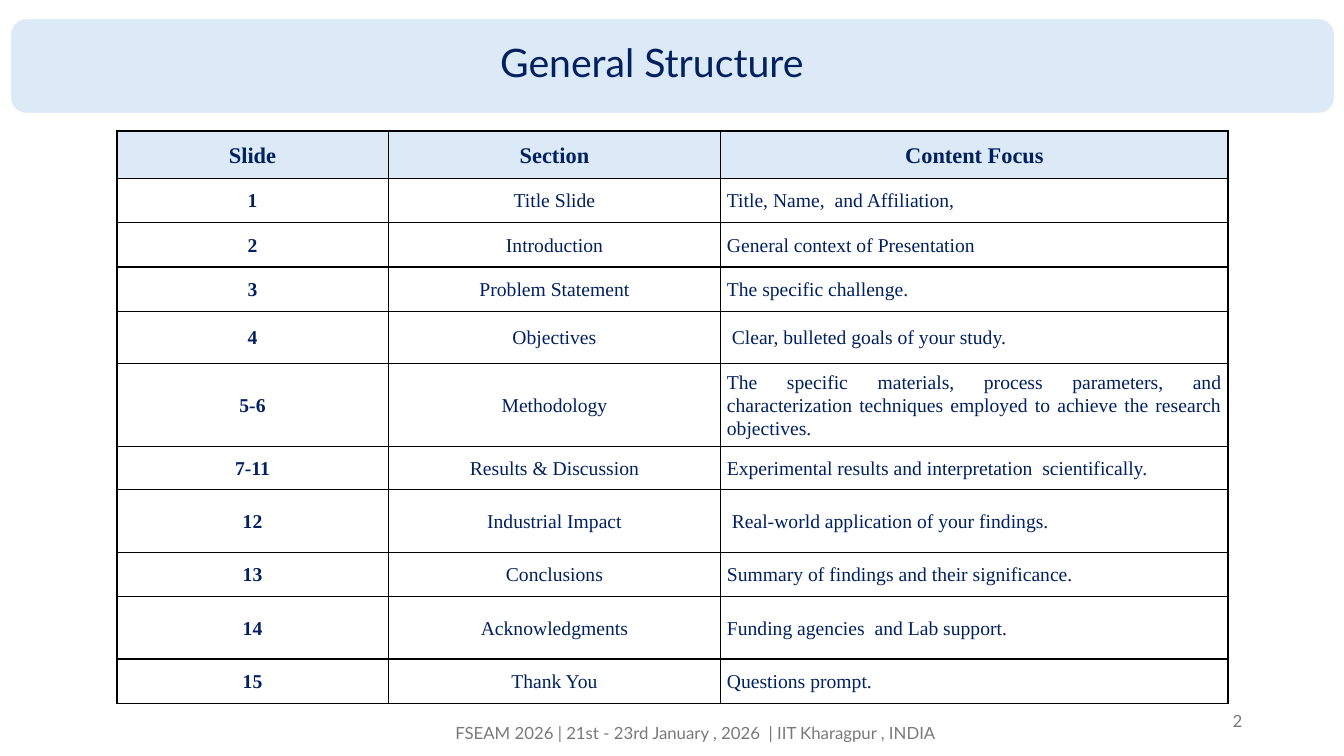
"""Build the General Structure slide: a banner title, a section table and a footer."""
from pptx import Presentation
from pptx import util as u
from pptx.dml.color import RGBColor
from pptx.enum import shapes, text
from pptx.oxml import parse_xml
from pptx.oxml.ns import nsdecls

COLORS = {"navy": "002060", "pale": "DCEAF7", "white": "FFFFFF", "gray": "797979", "black": "000000"}
SANS, SERIF = "Lato", "Times New Roman"
LEFT, CENTER, RIGHT, JUSTIFY = (text.PP_ALIGN.LEFT, text.PP_ALIGN.CENTER,
                                text.PP_ALIGN.RIGHT, text.PP_ALIGN.JUSTIFY)

TITLE = "General Structure"
HEADER = ("Slide", "Section", "Content Focus")
ROWS = [
    ("1", "Title Slide", "Title, Name,  and Affiliation,"),
    ("2", "Introduction", "General context of Presentation"),
    ("3", "Problem Statement", "The specific challenge."),
    ("4", "Objectives", " Clear, bulleted goals of your study."),
    ("5-6", "Methodology", "The specific materials, process parameters, and characterization "
                           "techniques employed to achieve the research objectives."),
    ("7-11", "Results & Discussion", "Experimental results and interpretation  scientifically."),
    ("12", "Industrial Impact", " Real-world application of your findings."),
    ("13", "Conclusions", "Summary of findings and their significance."),
    ("14", "Acknowledgments", "Funding agencies  and Lab support."),
    ("15", "Thank You", "Questions prompt."),
]
COL_WIDTHS = (2.69, 3.3, 5.03)
ROW_HEIGHTS = (0.47, 0.44, 0.44, 0.44, 0.52, 0.82, 0.43, 0.62, 0.44, 0.62, 0.44)
TABLE_LEFT, TABLE_TOP = 1.16, 1.3
FOOTERS = [
    ("FSEAM 2026 | 21st - 23rd January , 2026  | IIT Kharagpur , INDIA", (4.39, 7.07, 5.02, 0.4), CENTER),
    ("2", (9.42, 6.95, 3, 0.4), RIGHT),
]


def rgb(name):
    return RGBColor.from_string(COLORS[name])


def inches(values):
    return [u.Inches(v) for v in values]


def write(tf, content, size, font=SANS, color="navy", bold=False, align=CENTER,
          line=None, before=None):
    tf.word_wrap = True
    p = tf.paragraphs[0]
    p.alignment = align
    p.line_spacing = line
    p.space_before = before
    r = p.add_run()
    r.text = content
    r.font.size = u.Pt(size)
    r.font.name = font
    r.font.bold = bold
    r.font.color.rgb = rgb(color)


def add_borders(cell):
    tc_pr = cell._tc.get_or_add_tcPr()
    for side in "LRTB":
        tc_pr.append(parse_xml(
            f'<a:ln{side} {nsdecls("a")} w="12700"><a:solidFill>'
            f'<a:srgbClr val="{COLORS["black"]}"/></a:solidFill></a:ln{side}>'))


def add_heading(s):
    title = s.shapes.title
    title.left, title.top, title.width, title.height = inches((3.52, 0.33, 5.89, 0.57))
    title.text_frame.vertical_anchor = text.MSO_ANCHOR.TOP
    write(title.text_frame, TITLE, 28)
    banner = s.shapes.add_shape(shapes.MSO_SHAPE.ROUNDED_RECTANGLE, *inches((0.1, 0.18, 13.14, 0.95)))
    banner.shadow.inherit = False
    banner.fill.solid()
    banner.fill.fore_color.rgb = rgb("pale")
    banner.line.color.rgb = rgb("white")
    banner.line.width = u.Pt(1.5)
    title.element.addprevious(banner.element)


def add_sections(s):
    frame = s.shapes.add_table(len(ROW_HEIGHTS), len(COL_WIDTHS), *inches(
        (TABLE_LEFT, TABLE_TOP, sum(COL_WIDTHS), sum(ROW_HEIGHTS))))
    table = frame.table
    table.horz_banding = False
    for column, width in zip(table.columns, COL_WIDTHS):
        column.width = u.Inches(width)
    for row, height in zip(table.rows, ROW_HEIGHTS):
        row.height = u.Inches(height)
    for i, row in enumerate([HEADER] + ROWS):
        for j, content in enumerate(row):
            cell = table.cell(i, j)
            add_borders(cell)
            if i == 0:
                cell.fill.solid()
                cell.fill.fore_color.rgb = rgb("pale")
            else:
                cell.fill.background()
            cell.vertical_anchor = text.MSO_ANCHOR.MIDDLE
            cell.margin_left = cell.margin_right = u.Inches(0.06)
            cell.margin_top = cell.margin_bottom = u.Inches(0.04)
            align = CENTER if i == 0 or j < 2 else JUSTIFY if row[1] == "Methodology" else LEFT
            write(cell.text_frame, content, 16 if i == 0 else 14, font=SERIF,
                  bold=i == 0 or j == 0, align=align, line=1.07, before=u.Pt(11.2))


def add_footers(s):
    for content, box, align in FOOTERS:
        tf = s.shapes.add_textbox(*inches(box)).text_frame
        tf.vertical_anchor = text.MSO_ANCHOR.MIDDLE
        write(tf, content, 12, color="gray", align=align)


def main():
    prs = Presentation()
    prs.slide_width, prs.slide_height = inches((13.33, 7.5))
    s = prs.slides.add_slide(prs.slide_layouts[5])
    add_heading(s)
    add_sections(s)
    add_footers(s)
    prs.save("out.pptx")


if __name__ == "__main__":
    main()
